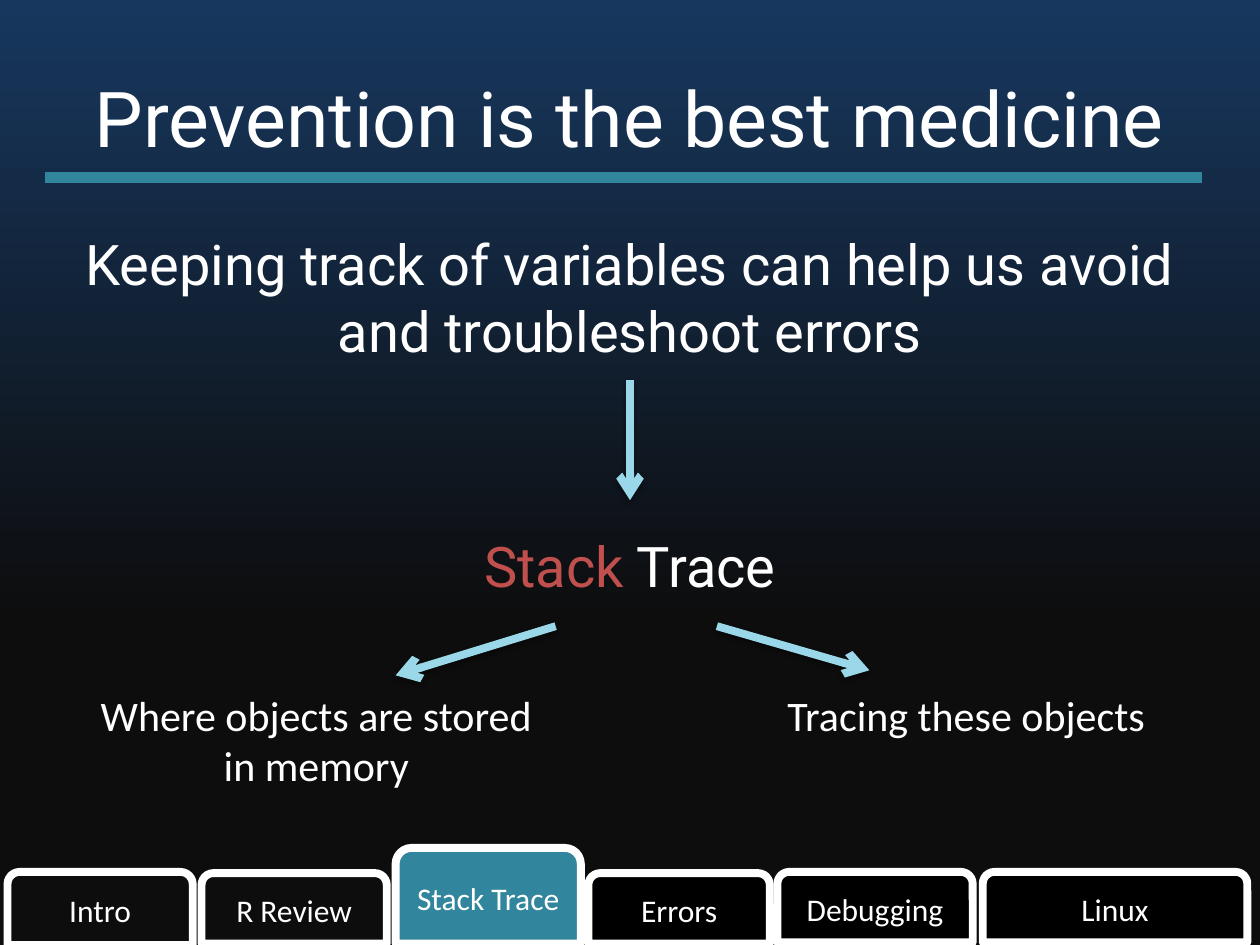
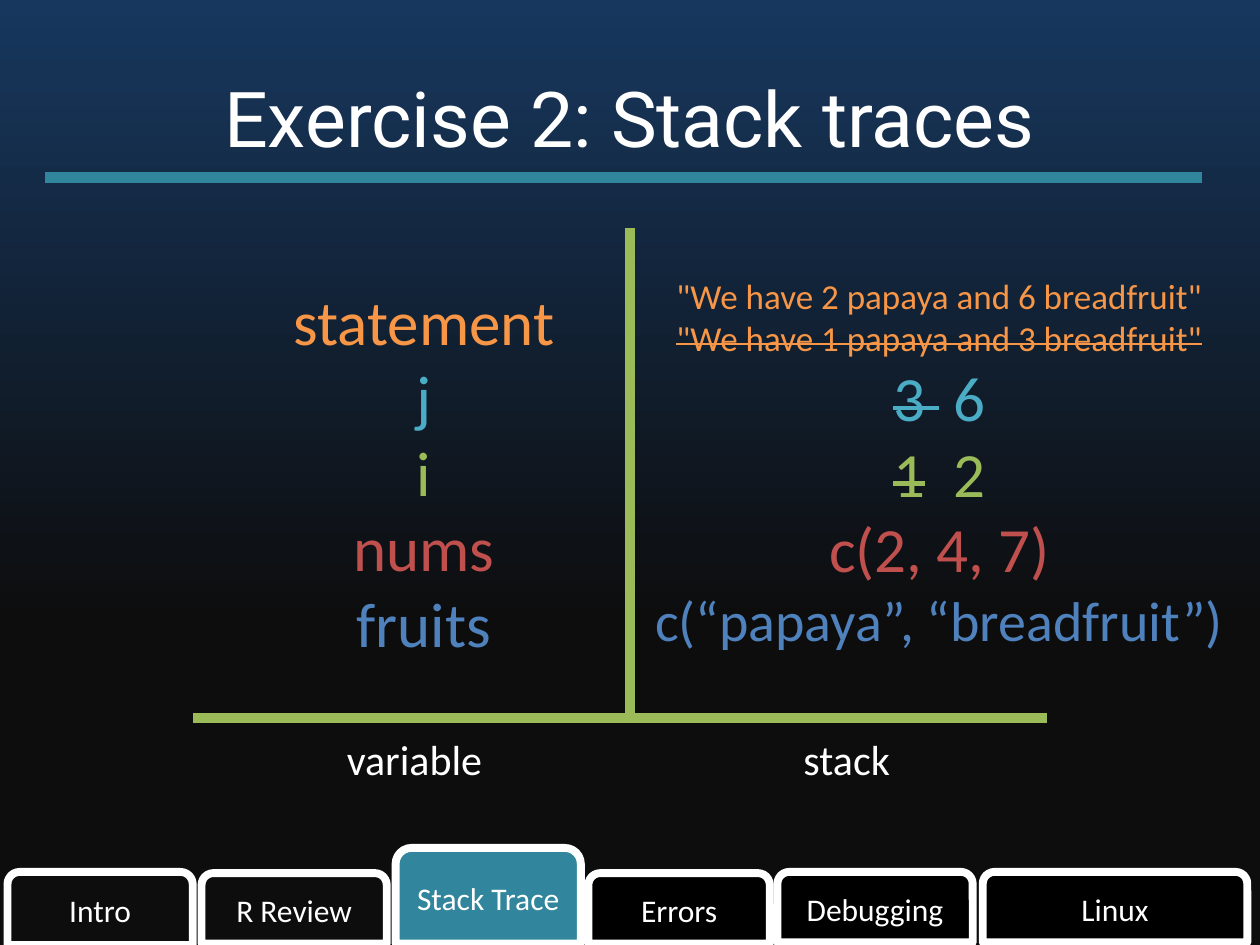
from lxml.etree import SubElement
from pptx import Presentation
from pptx.dml.color import RGBColor
from pptx.enum.shapes import MSO_CONNECTOR, MSO_SHAPE
from pptx.enum.text import MSO_ANCHOR, PP_ALIGN
from pptx.oxml.ns import qn
from pptx.util import Inches, Pt

WHITE, TEAL, SKY = "FFFFFF", "31859C", "9AD8E9"
ORANGE, AQUA, GREEN, RED, BLUE = "F79646", "4BACC6", "9BBB59", "C0504D", "4F81BD"
color = RGBColor.from_string


def write(frame, rows, face="Calibri", align=PP_ALIGN.CENTER):
    frame.word_wrap = True
    for i, (size, hue, *bits) in enumerate(rows):
        para = frame.add_paragraph() if i else frame.paragraphs[0]
        para.alignment = align
        para.font.size = Pt(size)
        para.font.name = face
        para.font.color.rgb = color(hue)
        for bit in bits:
            para.add_run().text = bit
    return frame


def draw(slide, ends, hue, width, arrow=False):
    line = slide.shapes.add_connector(MSO_CONNECTOR.STRAIGHT, *map(Inches, ends))
    line.line.color.rgb = color(hue)
    line.line.width = Pt(width)
    props = line._element.spPr
    glow = SubElement(props, qn("a:effectLst"))
    if arrow:
        SubElement(line.line._get_or_add_ln(), qn("a:tailEnd"), type="arrow")
        shade = SubElement(glow, qn("a:outerShdw"), blurRad=str(Pt(3.1)),
                           dist=str(Pt(1.6)), dir="5400000", rotWithShape="0")
        tint = SubElement(shade, qn("a:srgbClr"), val="000000")
        SubElement(tint, qn("a:alpha"), val="38000")


deck = Presentation()
deck.slide_width, deck.slide_height = Inches(10), Inches(7.5)

tabs = [
    ("Intro", 0.06, 6.92, 1.47, 0.58, None),
    ("R Review", 1.6, 6.93, 1.47, 0.56, None),
    ("Stack Trace", 3.14, 6.73, 1.47, 0.76, TEAL),
    ("Errors", 4.67, 6.93, 1.44, 0.56, "000000"),
    ("Debugging", 6.17, 6.92, 1.55, 0.56, "000000"),
    ("Linux", 7.8, 6.92, 2.1, 0.56, "000000"),
]

slides = []
for title in ["Prevention is the best medicine", "Exercise 2: Stack traces"]:
    slide = deck.slides.add_slide(deck.slide_layouts[6])
    slides.append(slide)
    back = slide.background.fill
    back.gradient()
    back.gradient_angle = 270
    for stop, place, hue in zip(back.gradient_stops, [0, 0.66], ["17375E", "0D0D0D"]):
        stop.position = place
        stop.color.rgb = color(hue)

    head = slide.shapes.add_textbox(*map(Inches, [0.5, 0.3, 9, 1.25])).text_frame
    head.vertical_anchor = MSO_ANCHOR.MIDDLE
    write(head, [(44, WHITE, title)], "Roboto")

    for name, *place, fill in tabs:
        tab = slide.shapes.add_shape(MSO_SHAPE.ROUND_2_SAME_RECTANGLE, *map(Inches, place))
        tab.shadow.inherit = False
        if fill:
            tab.fill.solid()
            tab.fill.fore_color.rgb = color(fill)
        else:
            tab.fill.background()
        tab.line.color.rgb = color(WHITE)
        tab.line.width = Pt(4.5)
        tab.text_frame.vertical_anchor = MSO_ANCHOR.MIDDLE
        write(tab.text_frame, [(18, WHITE, name)])
    draw(slide, [0.36, 1.41, 9.54, 1.41], TEAL, 6)

first, second = slides

box = first.shapes.add_textbox(*map(Inches, [0.5, 1.77, 9, 1.2]))
claim = "Keeping track of variables can help us avoid and troubleshoot errors"
write(box.text_frame, [(32, WHITE, claim)], "Roboto")
box = first.shapes.add_textbox(*map(Inches, [0.5, 4.17, 9, 0.64]))
term = write(box.text_frame, [(32, WHITE, "Stack", " Trace")], "Roboto")
term.paragraphs[0].runs[0].font.color.rgb = color(RED)

for ends in [(5, 3.02, 5, 3.97), (4.41, 4.97, 3.14, 5.36), (5.69, 4.97, 6.9, 5.32)]:
    draw(first, ends, SKY, 4.5, arrow=True)

for text, place, align in [
    ("Where objects are stored in memory", [0.62, 5.42, 3.78, 0.91], PP_ALIGN.CENTER),
    ("Tracing these objects", [6.15, 5.42, 3.35, 0.5], PP_ALIGN.LEFT),
]:
    box = first.shapes.add_textbox(*map(Inches, place))
    write(box.text_frame, [(24, WHITE, text)], align=align)

draw(second, [5, 1.81, 5, 5.7], GREEN, 6)
draw(second, [8.31, 5.7, 1.53, 5.7], GREEN, 6)
for text, left in [("variable", 1.73), ("stack", 5.16)]:
    box = second.shapes.add_textbox(*map(Inches, [left, 5.77, 3.12, 0.5]))
    write(box.text_frame, [(24, WHITE, text)])

names = ["statement", "j", "i", "nums", "fruits"]
hues = [ORANGE, AQUA, GREEN, RED, BLUE]
box = second.shapes.add_textbox(*map(Inches, [2.05, 2.19, 2.63, 3.13]))
write(box.text_frame, [(36, hue, name) for name, hue in zip(names, hues)])

box = second.shapes.add_textbox(*map(Inches, [5.08, 2.13, 4.75, 3.13]))
stack = write(box.text_frame, [
    (20, ORANGE, '"We have 2 papaya and 6 breadfruit"'),
    (20, ORANGE, '"We have 1 papaya and 3 breadfruit"'),
    (36, AQUA, "3 ", " 6"),
    (36, GREEN, "1", " ", " 2"),
    (36, RED, "c(2, 4, 7)"),
    (32, BLUE, "c(“papaya”, “breadfruit”)"),
])
for para in stack.paragraphs[1:4]:
    para.runs[0]._r.get_or_add_rPr().set("strike", "sngStrike")

deck.save("out.pptx")
